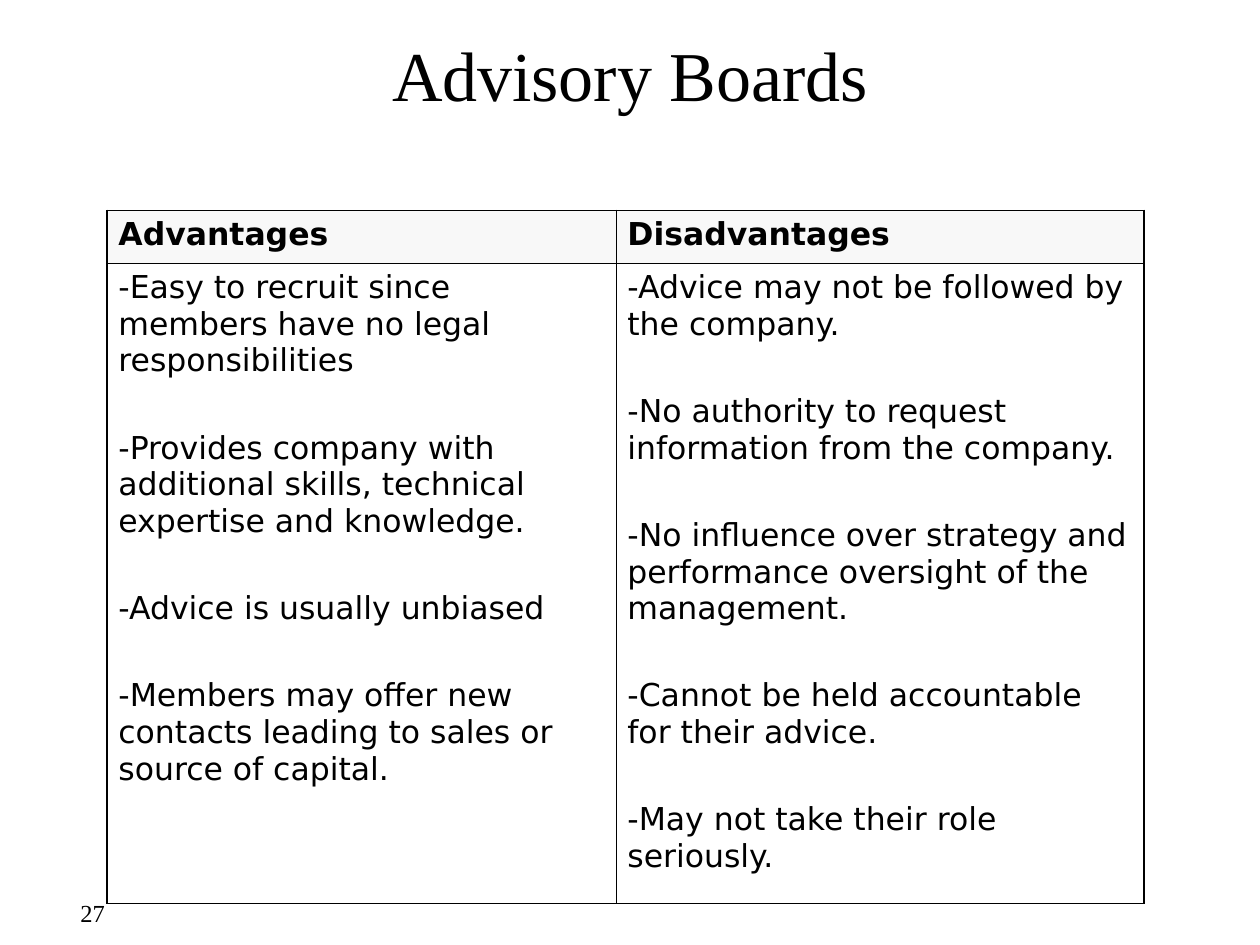
from lxml.etree import SubElement
from pptx import Presentation
from pptx.dml.color import RGBColor
from pptx.enum.text import MSO_ANCHOR, PP_ALIGN
from pptx.oxml.ns import qn
from pptx.util import Inches, Pt

SERIF = "Times New Roman"
SANS = "DejaVu Sans"
INK = "000000"
SHADE = "F8F8F8"
THICK, THIN = 1.08, 0.45
WIDE, HIGH = Inches(10), Inches(7.5)
COLS, ROWS = 100, 75

HEADS = ["Advantages", "Disadvantages"]
POINTS = [
    [
        "-Easy to recruit since members have no legal responsibilities",
        "-Provides company with additional skills, technical expertise and knowledge.",
        "-Advice is usually unbiased",
        "-Members may offer new contacts leading to sales or source of capital.",
    ],
    [
        "-Advice may not be followed by the company.",
        "-No authority to request information from the company.",
        "-No influence over strategy and performance oversight of the management.",
        "-Cannot be held accountable for their advice.",
        "-May not take their role seriously.",
    ],
]


def across(cols):
    return round(WIDE * cols / COLS)


def down(rows):
    return round(HIGH * rows / ROWS)


def place(left, top, width, height):
    return across(left), down(top), across(width), down(height)


def paint(text):
    return RGBColor.from_string(text)


def write(frame, lines, face, size, bold=False, align=PP_ALIGN.LEFT, gap=0):
    frame.word_wrap = True
    for spot, line in enumerate(lines):
        para = frame.add_paragraph() if spot else frame.paragraphs[0]
        para.alignment = align
        if spot:
            para.space_before = Pt(gap)
        run = para.add_run()
        run.text = line
        run.font.name = face
        run.font.size = Pt(size)
        run.font.bold = bold
        run.font.color.rgb = paint(INK)


def edge(cell, side, width):
    line = SubElement(cell._tc.get_or_add_tcPr(), qn(f"a:ln{side}"), w=str(Pt(width)))
    fill = SubElement(line, qn("a:solidFill"))
    SubElement(fill, qn("a:srgbClr"), val=INK)


def add_title(slide, text):
    title = slide.shapes.title
    title.left, title.top, title.width, title.height = place(0, 0, 100, 11.7)
    title.text_frame.vertical_anchor = MSO_ANCHOR.MIDDLE
    write(title.text_frame, [text], SERIF, 40, align=PP_ALIGN.CENTER)


def add_number(slide, text):
    box = slide.shapes.add_textbox(*place(-3.9, 70.8, 13.2, 5))
    write(box.text_frame, [text], SERIF, 14, align=PP_ALIGN.RIGHT)


def add_grid(slide):
    table = slide.shapes.add_table(2, 2, *place(8.5, 16.7, 82.3, 55)).table
    table.first_row = table.horz_banding = False
    for col, width in zip(table.columns, (40.4, 41.9)):
        col.width = across(width)
    for row, height in zip(table.rows, (4.2, 50.8)):
        row.height = down(height)
    for col, (head, points) in enumerate(zip(HEADS, POINTS)):
        for row, lines in enumerate(([head], points)):
            cell = table.cell(row, col)
            cell.margin_left = cell.margin_right = Inches(0.09)
            cell.margin_top = cell.margin_bottom = Inches(0.05)
            outer = {"L": col == 0, "R": col == 1, "T": row == 0, "B": row == 1}
            for side, rim in outer.items():
                edge(cell, side, THICK if rim else THIN)
            if row == 0:
                cell.fill.solid()
                cell.fill.fore_color.rgb = paint(SHADE)
            else:
                cell.fill.background()
            write(cell.text_frame, lines, SANS, 18, bold=row == 0, gap=29)


def main():
    deck = Presentation()
    deck.slide_width, deck.slide_height = WIDE, HIGH
    slide = deck.slides.add_slide(deck.slide_layouts[5])
    add_number(slide, "27")
    add_title(slide, "Advisory Boards")
    add_grid(slide)
    deck.save("out.pptx")


if __name__ == "__main__":
    main()
